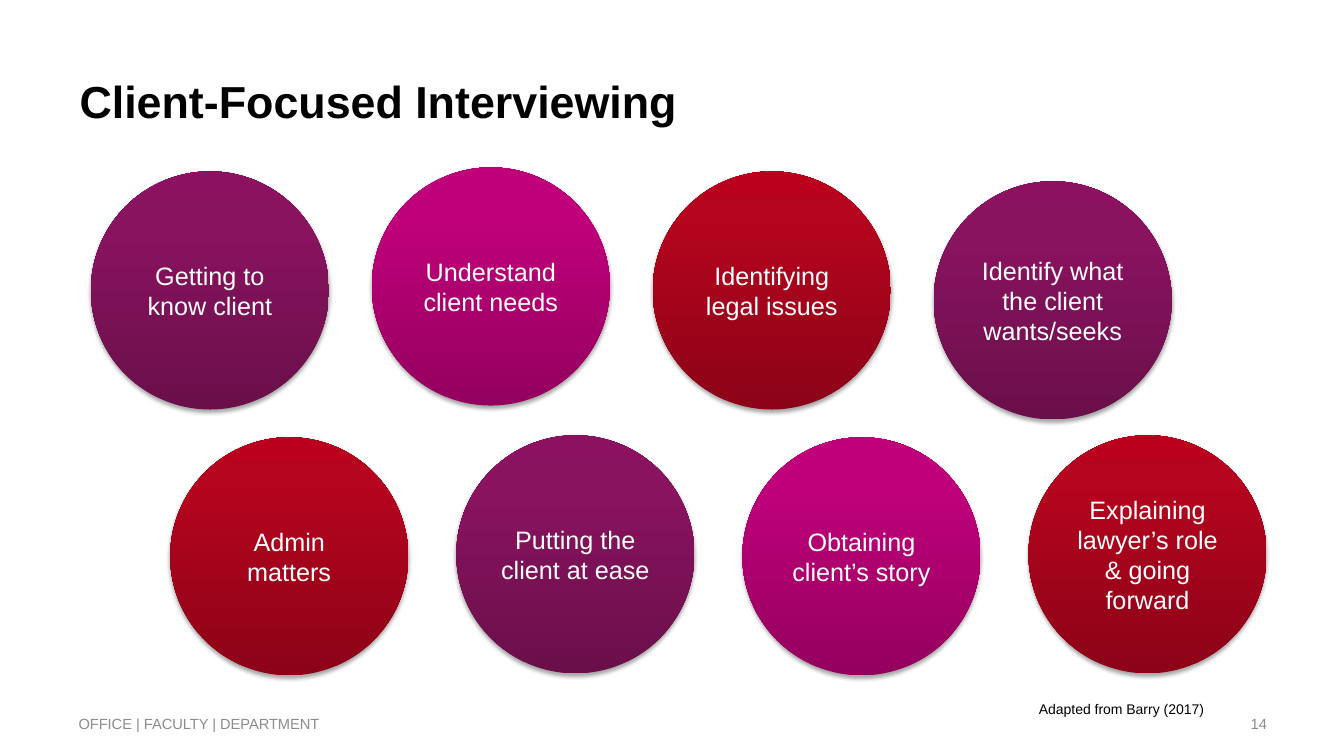
from copy import deepcopy
from dataclasses import dataclass

from lxml import etree
from pptx import Presentation
from pptx import util as u
from pptx.dml.color import RGBColor
from pptx.enum import shapes, text
from pptx.oxml.ns import qn
from pptx.shapes.autoshape import Shape
from pptx.slide import Slide


@dataclass(frozen=True)
class Theme:
    font: str = "Arial"
    black: str = "000000"
    white: str = "FFFFFF"
    grey: str = "8C8C8C"
    purple: tuple[str, ...] = ("6A0F4A", "8A1360", "8D1161")
    magenta: tuple[str, ...] = ("94005E", "C0007A", "C1007B")
    red: tuple[str, ...] = ("8C0317", "B5041E", "BA001C")
    gradient_positions: tuple[float, ...] = (0, 0.8, 1)
    title_size: float = 32
    circle_size: float = 18
    footer_size: float = 10.5
    credit_size: float = 10


THEME = Theme()
DIAMETER = 6


@dataclass(frozen=True)
class Circle:
    label: str
    colours: tuple[str, ...]
    top: float


@dataclass(frozen=True)
class Row:
    left: float
    pitch: float
    circles: tuple[Circle, ...]


@dataclass(frozen=True)
class Label:
    words: str
    left: float
    top: float
    width: float
    height: float
    size: float = THEME.footer_size
    colour: str = THEME.grey
    align: text.PP_ALIGN = text.PP_ALIGN.LEFT
    anchor: text.MSO_ANCHOR = text.MSO_ANCHOR.MIDDLE


ROWS = (
    Row(2.29, 7.08, (
        Circle("Getting to know client", THEME.purple, 4.32),
        Circle("Understand client needs", THEME.magenta, 4.22),
        Circle("Identifying legal issues", THEME.red, 4.32),
        Circle("Identify what the client wants/seeks", THEME.purple, 4.57),
    )),
    Row(4.29, 7.21, (
        Circle("Admin matters", THEME.red, 11.02),
        Circle("Putting the client at ease", THEME.purple, 10.97),
        Circle("Obtaining client’s story", THEME.magenta, 11.02),
        Circle("Explaining lawyer’s role & going forward", THEME.red, 10.97),
    )),
)

LABELS = (
    Label("OFFICE | FACULTY | DEPARTMENT", 1.73, 17.73, 14.94, 1.02),
    Label("14", 24.28, 17.73, 7.9, 1.02, align=text.PP_ALIGN.RIGHT),
    Label("Adapted from Barry (2017)", 25.93, 17.53, 5.28, 0.69,
          THEME.credit_size, THEME.black, anchor=text.MSO_ANCHOR.TOP),
)


def write_text(shape: Shape, words: str, *, size: float, colour: str,
               bold: bool = False,
               align: text.PP_ALIGN = text.PP_ALIGN.LEFT,
               anchor: text.MSO_ANCHOR = text.MSO_ANCHOR.MIDDLE) -> None:
    frame = shape.text_frame
    frame.word_wrap = True
    frame.auto_size = text.MSO_AUTO_SIZE.NONE
    frame.vertical_anchor = anchor
    paragraph = frame.paragraphs[0]
    paragraph.alignment = align
    run = paragraph.add_run()
    run.text = words
    run.font.name = THEME.font
    run.font.size = u.Pt(size)
    run.font.bold = bold
    run.font.color.rgb = RGBColor.from_string(colour)


def fill_gradient(shape: Shape, colours: tuple[str, ...]) -> None:
    shape.fill.gradient()
    shape.fill.gradient_angle = 90
    first_stop = shape.element.spPr.find(".//" + qn("a:gs"))
    first_stop.addnext(deepcopy(first_stop))
    stops = shape.fill.gradient_stops
    for stop, colour, position in zip(stops, colours, THEME.gradient_positions):
        stop.color.rgb = RGBColor.from_string(colour)
        stop.position = position


def add_shadow(shape: Shape) -> None:
    shape.shadow.inherit = False
    effects = shape.element.spPr.find(qn("a:effectLst"))
    shadow = etree.SubElement(
        effects, qn("a:outerShdw"), blurRad=str(u.Pt(3.1)),
        dist=str(u.Pt(1.8)), dir="5400000", rotWithShape="0")
    colour = etree.SubElement(shadow, qn("a:srgbClr"), val=THEME.black)
    etree.SubElement(colour, qn("a:alpha"), val="35000")


def draw_row(slide: Slide, row: Row) -> None:
    for column, circle in enumerate(row.circles):
        shape = slide.shapes.add_shape(
            shapes.MSO_SHAPE.FLOWCHART_CONNECTOR,
            u.Cm(row.left + column * row.pitch), u.Cm(circle.top),
            u.Cm(DIAMETER), u.Cm(DIAMETER))
        fill_gradient(shape, circle.colours)
        shape.line.fill.background()
        add_shadow(shape)
        write_text(shape, circle.label, size=THEME.circle_size,
                   colour=THEME.white, align=text.PP_ALIGN.CENTER)


def draw_label(slide: Slide, label: Label) -> None:
    box = slide.shapes.add_textbox(
        u.Cm(label.left), u.Cm(label.top),
        u.Cm(label.width), u.Cm(label.height))
    write_text(box, label.words, size=label.size, colour=label.colour,
               align=label.align, anchor=label.anchor)


def draw_title(slide: Slide) -> None:
    title = slide.shapes.title
    title.left, title.top = u.Cm(1.75), u.Cm(1.63)
    title.width, title.height = u.Cm(26.49), u.Cm(1.8)
    write_text(title, "Client-Focused Interviewing", size=THEME.title_size,
               colour=THEME.black, bold=True)


def main() -> None:
    presentation = Presentation()
    presentation.slide_width = u.Cm(33.87)
    presentation.slide_height = u.Cm(19.05)
    slide = presentation.slides.add_slide(presentation.slide_layouts[5])
    draw_title(slide)
    for row in ROWS:
        draw_row(slide, row)
    for label in LABELS:
        draw_label(slide, label)
    presentation.save("out.pptx")


if __name__ == "__main__":
    main()
